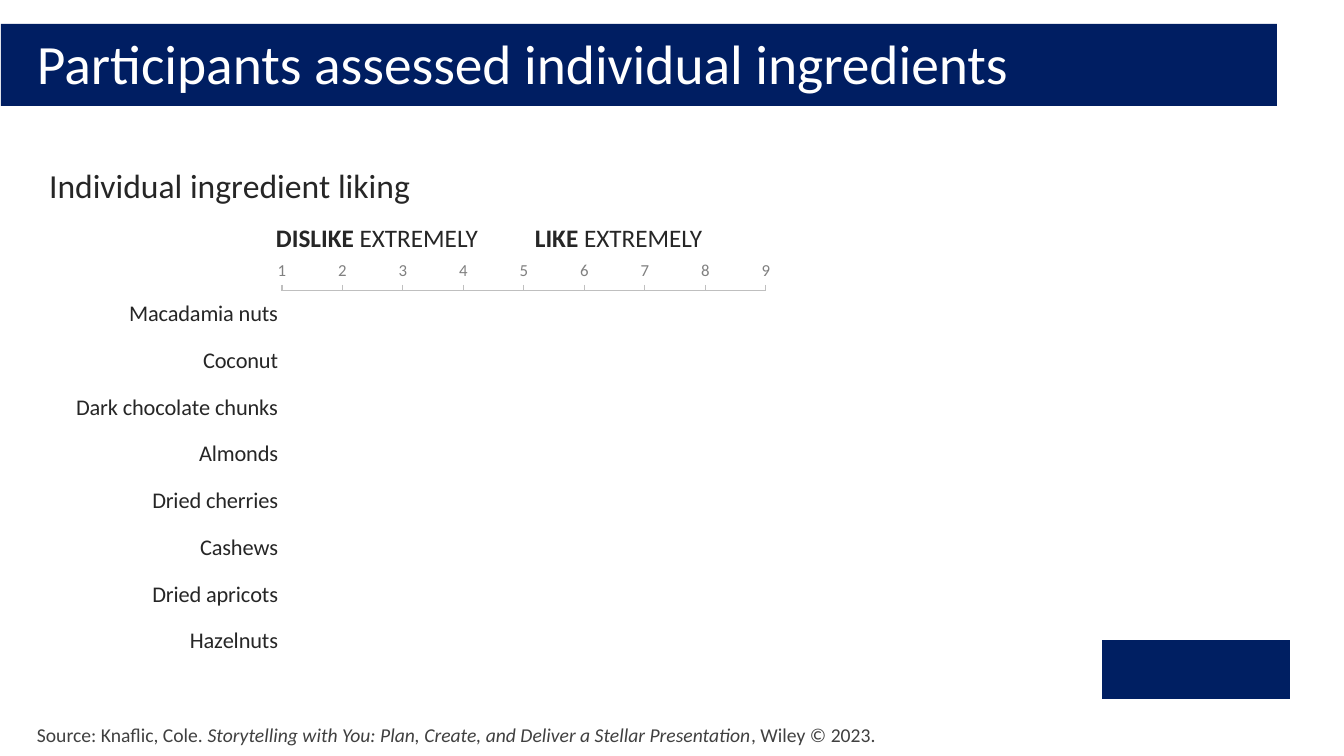
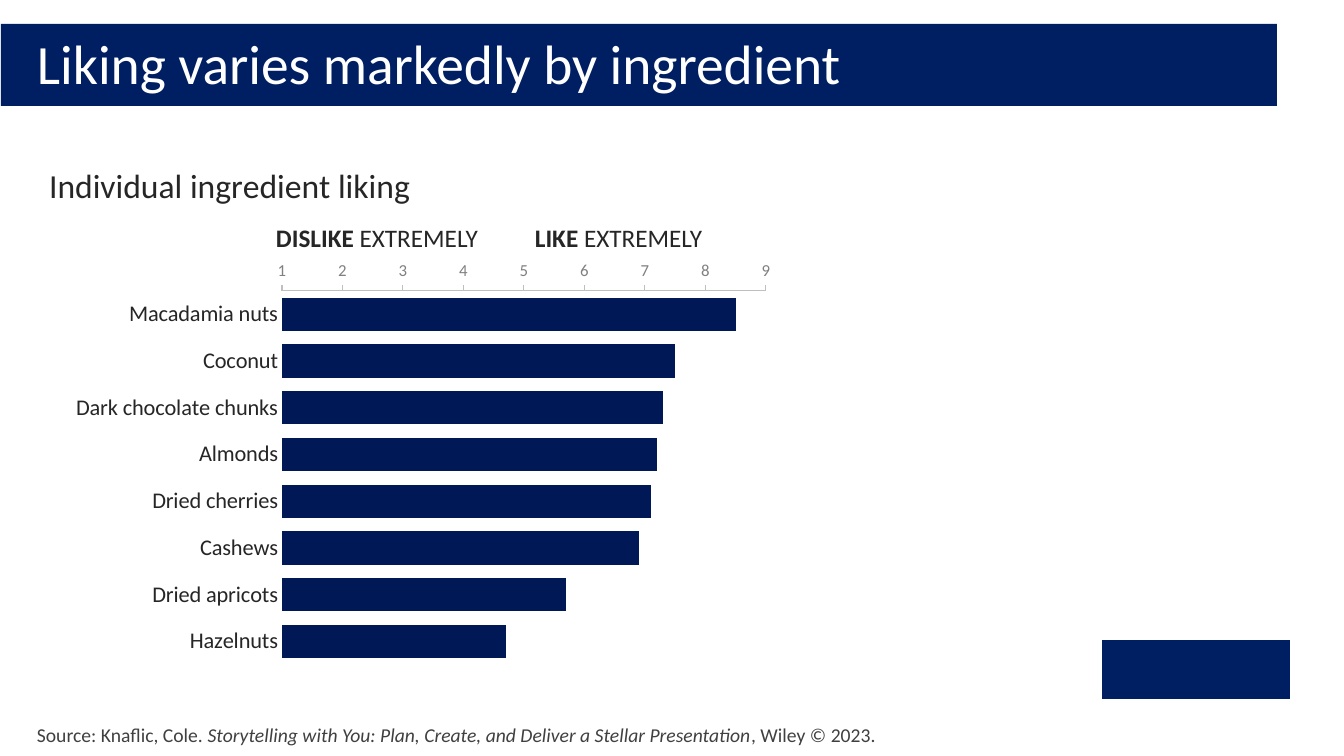
import dataclasses

import pptx
import pptx.chart.data
import pptx.dml.color
import pptx.enum.chart
import pptx.enum.shapes
import pptx.enum.text
import pptx.oxml
import pptx.oxml.ns
import pptx.util
from lxml import etree

SCALE = 914400 / 100.8  # EMU in one px
SIZE = (1344, 756)
qn = pptx.oxml.ns.qn


@dataclasses.dataclass(frozen=True)
class Theme:
    font: str = "Calibri"
    band: str = "001E62"
    block: str = "001F62"
    bar: str = "001855"
    white: str = "FFFFFF"
    ink: str = "262626"
    note: str = "404040"
    tick: str = "808080"
    rule: str = "BFBFBF"
    title_pt: float = 39.6
    head_pt: int = 24
    key_pt: int = 18
    cat_pt: int = 16
    note_pt: int = 14
    tick_pt: int = 12


THEME = Theme()

SCORES = {
    "Macadamia nuts": 8.5,
    "Coconut": 7.5,
    "Dark chocolate chunks": 7.3,
    "Almonds": 7.2,
    "Dried cherries": 7.1,
    "Cashews": 6.9,
    "Dried apricots": 5.7,
    "Hazelnuts": 4.7,
}
SOURCE = [
    ("Source: Knaflic, Cole. ", ""),
    ("Storytelling with You: Plan, Create, and Deliver a Stellar Presentation", "i"),
    (", Wiley © 2023.", ""),
]
ENDS = [("DISLIKE", "b"), (" EXTREMELY\t", ""), ("LIKE", "b"), (" EXTREMELY", "")]


def px(n):
    return pptx.util.Emu(round(n * SCALE))


def rgb(code):
    return pptx.dml.color.RGBColor.from_string(code)


def style(font, size, color):
    font.name = THEME.font
    font.size = pptx.util.Pt(size)
    font.color.rgb = rgb(color)
    font.bold = False


def label(slide, box, parts, size, color, tab=None):
    """Add a text box of (text, marks) parts, where marks may hold b or i."""
    frame = slide.shapes.add_textbox(*map(px, box)).text_frame
    frame.word_wrap = True
    para = frame.paragraphs[0]
    if tab:
        stops = etree.SubElement(para._p.get_or_add_pPr(), qn("a:tabLst"))
        etree.SubElement(stops, qn("a:tab"), pos=str(px(tab)), algn="l")
    for text, marks in parts:
        run = para.add_run()
        run.text = text
        style(run.font, size, color)
        run.font.bold = "b" in marks
        run.font.italic = "i" in marks
    return frame


def panel(slide, box, color):
    shape = slide.shapes.add_shape(
        pptx.enum.shapes.MSO_SHAPE.RECTANGLE, *map(px, box))
    shape.shadow.inherit = False
    shape.fill.solid()
    shape.fill.fore_color.rgb = rgb(color)
    shape.line.fill.background()


def header(slide, box, text):
    left, top, width, height = box
    panel(slide, box, THEME.band)
    frame = label(slide, (left + 26, top + 10, width - 39, height - 17),
                  [(text, "")], THEME.title_pt, THEME.white)
    frame.vertical_anchor = pptx.enum.text.MSO_ANCHOR.MIDDLE
    frame.paragraphs[0].line_spacing = 0.9


def footer(slide, box):
    left, top, width, height = box
    label(slide, box, SOURCE, THEME.note_pt, THEME.note)
    panel(slide, (left + 1075, top - 78, 188, 59), THEME.block)


def place(node, index, **values):
    """Give a chart part a manual layout."""
    for old in node.findall(qn("c:layout")):
        node.remove(old)
    layout = etree.Element(qn("c:layout"))
    node.insert(index, layout)
    manual = etree.SubElement(layout, qn("c:manualLayout"))
    for key, value in values.items():
        etree.SubElement(manual, qn("c:" + key), val=str(value))


def axes(chart):
    ticks = pptx.enum.chart.XL_TICK_MARK
    cats = chart.category_axis
    cats.reverse_order = True
    cats.major_tick_mark = cats.minor_tick_mark = ticks.NONE
    cats.has_major_gridlines = False
    cats.format.line.fill.background()
    style(cats.tick_labels.font, THEME.cat_pt, THEME.ink)

    vals = chart.value_axis
    vals.minimum_scale, vals.maximum_scale, vals.major_unit = 1, 9, 1
    vals.major_tick_mark, vals.minor_tick_mark = ticks.OUTSIDE, ticks.NONE
    vals.has_major_gridlines = False
    vals.format.line.color.rgb = rgb(THEME.rule)
    vals.format.line.width = pptx.util.Pt(0.75)
    style(vals.tick_labels.font, THEME.tick_pt, THEME.tick)


def graph(slide, box, color):
    """Draw the liking chart; without a color the bars stay empty."""
    left, top, width, height = box
    data = pptx.chart.data.CategoryChartData()
    data.categories = list(SCORES)
    data.add_series("Series 1", list(SCORES.values()))
    chart = slide.shapes.add_chart(
        pptx.enum.chart.XL_CHART_TYPE.BAR_CLUSTERED,
        *map(px, box), data).chart
    chart.has_legend = False
    chart.font.name = THEME.font
    axes(chart)

    plot = chart.plots[0]
    plot.gap_width = 40
    plot.vary_by_categories = False
    fill = plot.series[0].format.fill
    if color:
        fill.solid()
        fill.fore_color.rgb = rgb(color)
    else:
        fill.background()

    chart.has_title = True
    title = chart.chart_title
    title.text_frame.text = "Individual ingredient liking"
    style(title.text_frame.paragraphs[0].runs[0].font, THEME.head_pt, THEME.ink)
    place(title._element, 1, xMode="edge", yMode="edge", x=0, y=0)
    place(chart._chartSpace.chart.plotArea, 0, layoutTarget="inner",
          xMode="edge", yMode="edge", x=239 / width, y=134 / height,
          w=484 / width, h=374 / height)

    label(slide, (left + 223, top + 60, 550, 40), ENDS,
          THEME.key_pt, THEME.ink, tab=259)


def page(deck, title, color=None):
    slide = deck.slides.add_slide(deck.slide_layouts[6])
    header(slide, (1, 24, 1276, 82), title)
    footer(slide, (27, 718, 1294, 34))
    graph(slide, (43, 157, 742, 523), color)


def main():
    deck = pptx.Presentation()
    deck.slide_width, deck.slide_height = map(px, SIZE)
    page(deck, "Participants assessed individual ingredients")
    page(deck, "Liking varies markedly by ingredient", THEME.bar)
    deck.save("out.pptx")


if __name__ == "__main__":
    main()
